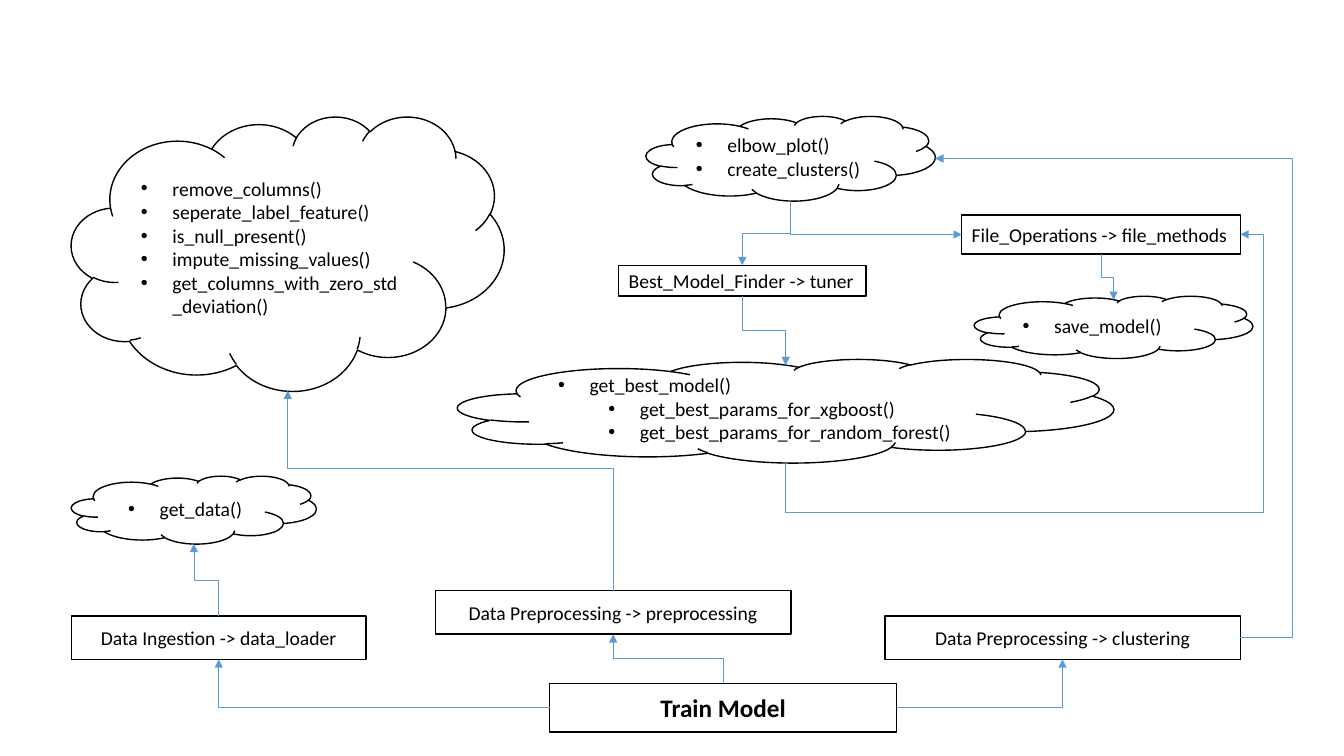
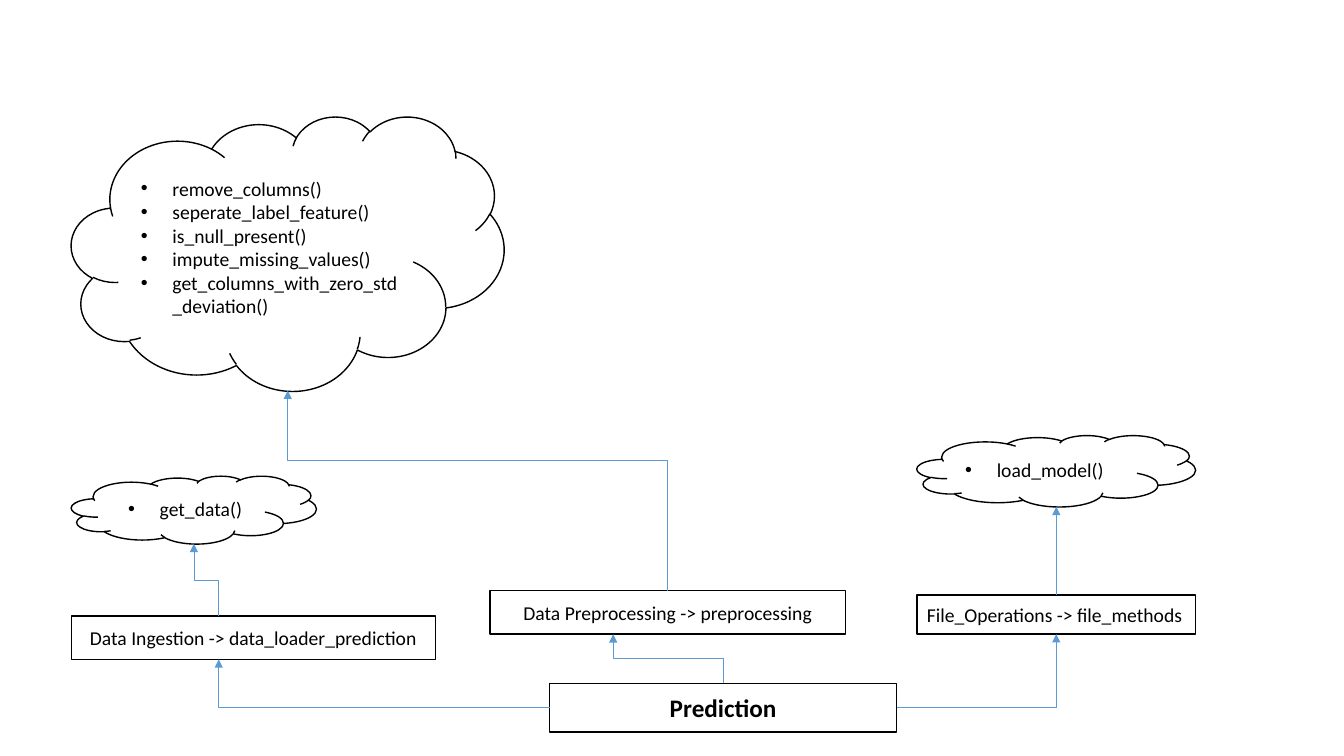
"""Two flow charts of a machine learning pipeline."""
from lxml import etree
from pptx import Presentation
from pptx.dml.color import RGBColor
from pptx.enum.shapes import MSO_CONNECTOR, MSO_SHAPE
from pptx.enum.text import MSO_ANCHOR, PP_ALIGN
from pptx.oxml.ns import qn
from pptx.util import Pt

RECT, CLOUD = MSO_SHAPE.RECTANGLE, MSO_SHAPE.CLOUD
ELBOW, STRAIGHT = MSO_CONNECTOR.ELBOW, MSO_CONNECTOR.STRAIGHT
LEFT, CENTER = PP_ALIGN.LEFT, PP_ALIGN.CENTER
MIDDLE = MSO_ANCHOR.MIDDLE

COLORS = {"paper": "FFFFFF", "ink": "000000", "wire": "5B9BD5"}
BODY = {"name": "Calibri", "size": Pt(14), "bold": False}
HEAD = {"name": "Calibri", "size": Pt(18), "bold": True}
SITES = {
    RECT: {"top": 0, "left": 1, "bottom": 2, "right": 3},
    CLOUD: {"right": 0, "bottom": 1, "left": 2, "top": 3},
}
INDENT = 22.5
STEP = 36
CLOUD_DIP = 0.06
INGEST_X, PREP_X = 156.25, 438


def tint(name):
    """Return the named colour."""
    return RGBColor.from_string(COLORS[name])


def node(slide, kind, box, lines, align=CENTER, style=BODY):
    """Draw an outlined shape in the box with one paragraph per line."""
    shape = slide.shapes.add_shape(kind, *map(Pt, box))
    shape.shadow.inherit = False
    shape.fill.solid()
    shape.fill.fore_color.rgb = tint("paper")
    shape.line.color.rgb = tint("ink")
    shape.line.width = Pt(1)
    frame = shape.text_frame
    frame.word_wrap = True
    frame.vertical_anchor = MIDDLE
    for row, text in enumerate(lines):
        para = frame.paragraphs[0] if row == 0 else frame.add_paragraph()
        para.text = text
        para.alignment = align
        para.font.color.rgb = tint("ink")
        for key, value in style.items():
            setattr(para.font, key, value)
    return shape


def label(slide, box, text, align=CENTER, style=BODY):
    """Draw a box that names a module."""
    return node(slide, RECT, box, [text], align, style)


def cloud(slide, box, calls, align=LEFT, levels=()):
    """Draw a cloud with a bulleted list of calls."""
    shape = node(slide, CLOUD, box, calls, align)
    for row, para in enumerate(shape.text_frame.paragraphs):
        para.level = levels[row] if levels else 0
        props = para._p.get_or_add_pPr()
        props.set("marL", str(Pt(INDENT + STEP * para.level)))
        props.set("indent", str(Pt(-INDENT)))
        font = etree.Element(qn("a:buFont"), typeface="Arial")
        mark = etree.Element(qn("a:buChar"), char="•")
        old = props.find(qn("a:defRPr"))
        for part in (font, mark):
            if old is None:
                props.append(part)
            else:
                old.addprevious(part)
    return shape


def locate(shape, side, x=None):
    """Return the point on a side, and its site if it is the middle."""
    dip = CLOUD_DIP if shape.auto_shape_type == CLOUD else 0
    mid = shape.left + shape.width // 2
    points = {
        "top": (mid, shape.top + int(shape.height * dip)),
        "bottom": (mid, shape.top + shape.height),
        "left": (shape.left, shape.top + shape.height // 2),
        "right": (shape.left + shape.width, shape.top + shape.height // 2),
    }
    point, site = points[side], SITES[shape.auto_shape_type][side]
    if x is not None and abs(Pt(x) - mid) > Pt(1):
        point, site = (Pt(x), point[1]), None
    return point, site


def bend(link, start, end, upright, bends):
    """Shape an elbow between two points, bent at the given fractions."""
    dx, dy = end[0] - start[0], end[1] - start[1]
    wide, tall = abs(dx), abs(dy)
    if upright:
        wide, tall = tall, wide
        turn = 270 if dx * dy > 0 else 90
        flips = (dy < 0) != (turn == 270), (dx > 0) != (turn == 270)
    else:
        turn = 180 if dx < 0 and not bends else 0
        flips = (dx < 0) != (turn == 180), (dy < 0) != (turn == 180)
    link.left = (start[0] + end[0] - wide) // 2
    link.top = (start[1] + end[1] - tall) // 2
    link.width, link.height = wide, tall
    props = link._element.spPr
    frame = props.find(qn("a:xfrm"))
    frame.set("rot", str(turn * 60000))
    for key, flip in zip(("flipH", "flipV"), flips):
        frame.set(key, str(int(flip)))
    form = props.find(qn("a:prstGeom"))
    form.set("prst", f"bentConnector{len(bends) + 2}")
    guides = form.find(qn("a:avLst"))
    for num, part in enumerate(bends, 1):
        etree.SubElement(guides, qn("a:gd"), name=f"adj{num}",
                         fmla=f"val {round(part * 100000)}")


def wire(slide, head, tail, bends=(), kind=ELBOW):
    """Draw an arrow from one anchor (shape, side, x) to another."""
    (start, first), (end, last) = locate(*head), locate(*tail)
    link = slide.shapes.add_connector(kind, *start, *end)
    if first is not None:
        link.begin_connect(head[0], first)
    if last is not None:
        link.end_connect(tail[0], last)
    link.begin_x, link.begin_y = start
    link.end_x, link.end_y = end
    if kind == ELBOW:
        bend(link, start, end, head[1] in ("top", "bottom"), bends)
    link.line.color.rgb = tint("wire")
    link.line.width = Pt(0.5)
    etree.SubElement(link.line._get_or_add_ln(), qn("a:tailEnd"), type="triangle")
    etree.SubElement(link._element.spPr, qn("a:effectLst"))


def base(deck, title, loader, width, left, turn):
    """Add a slide with the shared ingestion and preprocessing parts."""
    slide = deck.slides.add_slide(deck.slide_layouts[6])
    root = label(slide, (392.5, 488, 248, 35), title, style=HEAD)
    ingest = label(slide, (51, 440, width, 31), f"Data Ingestion -> {loader}")
    data = cloud(slide, (51, 340, 175, 48.5), ["get_data()"], CENTER)
    prep = label(slide, (left, 422, 254, 31),
                 "Data Preprocessing -> preprocessing")
    clean = cloud(slide, (51, 83, 309, 196), [
        "remove_columns()", "seperate_label_feature()", "is_null_present()",
        "impute_missing_values()", "get_columns_with_zero_std_deviation()"])
    wire(slide, (root, "left"), (ingest, "bottom", INGEST_X))
    wire(slide, (ingest, "top", INGEST_X), (data, "bottom"), (0.5,))
    wire(slide, (root, "top"), (prep, "bottom", PREP_X), (0.5,))
    wire(slide, (prep, "top"), (clean, "bottom"), (turn,))
    return slide, root


def files(slide, left, top):
    """Draw the file operations box."""
    return label(slide, (left, top, 199, 28),
                 "File_Operations -> file_methods", LEFT)


def train(deck):
    """Build the training slide."""
    slide, root = base(deck, "Train Model", "data_loader", 210.5, 311, 0.61)
    group = label(slide, (632, 440, 254, 31), "Data Preprocessing -> clustering")
    plot = cloud(slide, (461.5, 83, 206.5, 60.5),
                 ["elbow_plot()", "create_clusters()"])
    store = files(slide, 687, 153.5)
    save = cloud(slide, (696, 211.5, 199, 44.5), ["save_model()"])
    tuner = label(slide, (442, 189.5, 176.5, 22),
                  "Best_Model_Finder -> tuner", LEFT)
    best = cloud(slide, (327, 256.5, 468.5, 74), [
        "get_best_model()", "get_best_params_for_xgboost()",
        "get_best_params_for_random_forest()"], levels=(0, 1, 1))
    wire(slide, (root, "right"), (group, "bottom"))
    wire(slide, (group, "right"), (plot, "right"), (-0.17,))
    wire(slide, (plot, "bottom"), (store, "left"))
    wire(slide, (plot, "bottom"), (tuner, "top"), (0.5,))
    wire(slide, (store, "bottom"), (save, "top"), (0.5,))
    wire(slide, (tuner, "bottom"), (best, "top"), (0.5,))
    wire(slide, (best, "bottom"), (store, "right"), (-0.22, 1.05))


def predict(deck):
    """Build the prediction slide."""
    slide, root = base(deck, "Prediction", "data_loader_prediction",
                       260, 350, 0.65)
    store = files(slide, 655, 425)
    load = cloud(slide, (655, 311, 199, 51), ["load_model()"])
    wire(slide, (root, "right"), (store, "bottom"))
    wire(slide, (store, "top"), (load, "bottom"), kind=STRAIGHT)


def main():
    """Build and save the deck."""
    deck = Presentation()
    deck.slide_width, deck.slide_height = Pt(960), Pt(540)
    train(deck)
    predict(deck)
    deck.save("out.pptx")


if __name__ == "__main__":
    main()
